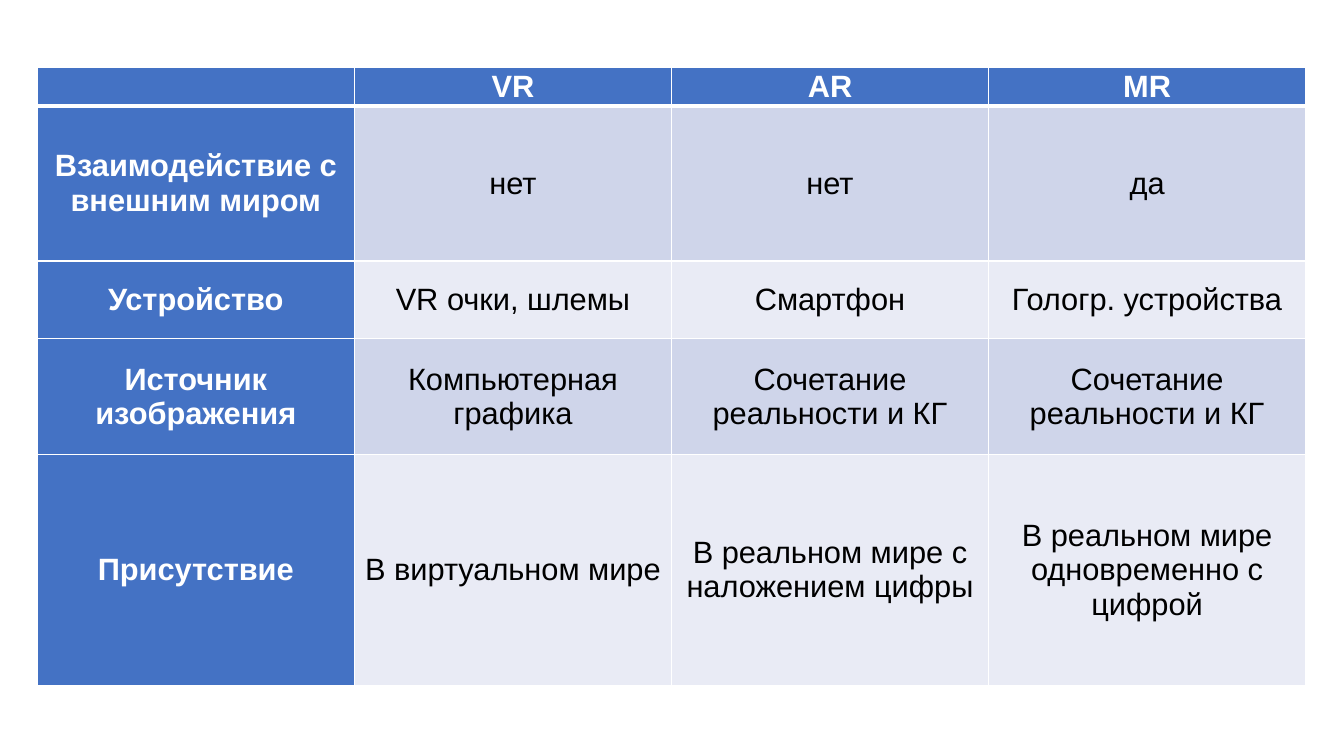
from lxml import etree
from pptx import Presentation
from pptx.dml.color import RGBColor
from pptx.enum.text import MSO_ANCHOR, PP_ALIGN
from pptx.oxml.ns import qn
from pptx.util import Inches, Pt

CENTER = PP_ALIGN.CENTER
MIDDLE = MSO_ANCHOR.MIDDLE

COLORS = {
    "heading": "4472C4",
    "odd_row": "CFD5EA",
    "even_row": "E9EBF5",
    "border": "FFFFFF",
    "heading_text": "FFFFFF",
    "body_text": "000000",
}
FONT = "Arial"
FONT_SIZE = 22
THIN, THICK = 1, 3

TABLE_LEFT, TABLE_TOP, TABLE_WIDTH = 0.37, 0.67, 12.58
ROW_HEIGHTS = [0.38, 1.54, 0.77, 1.15, 2.29]
COMPARISON = [
    ["", "VR", "AR", "MR"],
    ["Взаимодействие с внешним миром", "нет", "нет", "да"],
    ["Устройство", "VR очки, шлемы", "Смартфон", "Гологр. устройства"],
    ["Источник изображения", "Компьютерная графика",
     "Сочетание реальности и КГ", "Сочетание реальности и КГ"],
    ["Присутствие", "В виртуальном мире",
     "В реальном мире с наложением цифры",
     "В реальном мире одновременно с цифрой"],
]


def add_border(cell, side, width):
    properties = cell._tc.get_or_add_tcPr()
    line = etree.SubElement(properties, qn(f"a:ln{side}"), w=str(Pt(width)))
    fill = etree.SubElement(line, qn("a:solidFill"))
    etree.SubElement(fill, qn("a:srgbClr"), val=COLORS["border"])


def style_cell(cell, row_index, is_heading):
    # A thick line separates the header row from the body
    top = THICK if row_index == 1 else THIN
    bottom = THICK if row_index == 0 else THIN
    for side, width in (("L", THIN), ("R", THIN), ("T", top), ("B", bottom)):
        add_border(cell, side, width)

    band = "odd_row" if row_index % 2 else "even_row"
    cell.fill.solid()
    cell.fill.fore_color.rgb = RGBColor.from_string(
        COLORS["heading" if is_heading else band])
    cell.vertical_anchor = MIDDLE
    cell.margin_left = cell.margin_right = Inches(0.07)
    cell.margin_top = cell.margin_bottom = 0


def write_cell(cell, text, is_heading):
    paragraph = cell.text_frame.paragraphs[0]
    paragraph.alignment = CENTER
    if not text:
        return
    run = paragraph.add_run()
    run.text = text
    run.font.name = FONT
    run.font.size = Pt(FONT_SIZE)
    run.font.bold = is_heading
    run.font.color.rgb = RGBColor.from_string(
        COLORS["heading_text" if is_heading else "body_text"])


def add_comparison_table(slide):
    column_count = len(COMPARISON[0])
    table = slide.shapes.add_table(
        len(COMPARISON), column_count, Inches(TABLE_LEFT), Inches(TABLE_TOP),
        Inches(TABLE_WIDTH), Inches(sum(ROW_HEIGHTS))).table
    table.first_col = True

    for column in table.columns:
        column.width = Inches(TABLE_WIDTH / column_count)
    for row, height in zip(table.rows, ROW_HEIGHTS):
        row.height = Inches(height)

    for row_index, texts in enumerate(COMPARISON):
        for column_index, text in enumerate(texts):
            cell = table.cell(row_index, column_index)
            is_heading = row_index == 0 or column_index == 0
            style_cell(cell, row_index, is_heading)
            write_cell(cell, text, is_heading)


def main():
    presentation = Presentation()
    presentation.slide_width = Inches(13.33)
    presentation.slide_height = Inches(7.5)
    slide = presentation.slides.add_slide(presentation.slide_layouts[6])
    add_comparison_table(slide)
    presentation.save("out.pptx")


if __name__ == "__main__":
    main()
